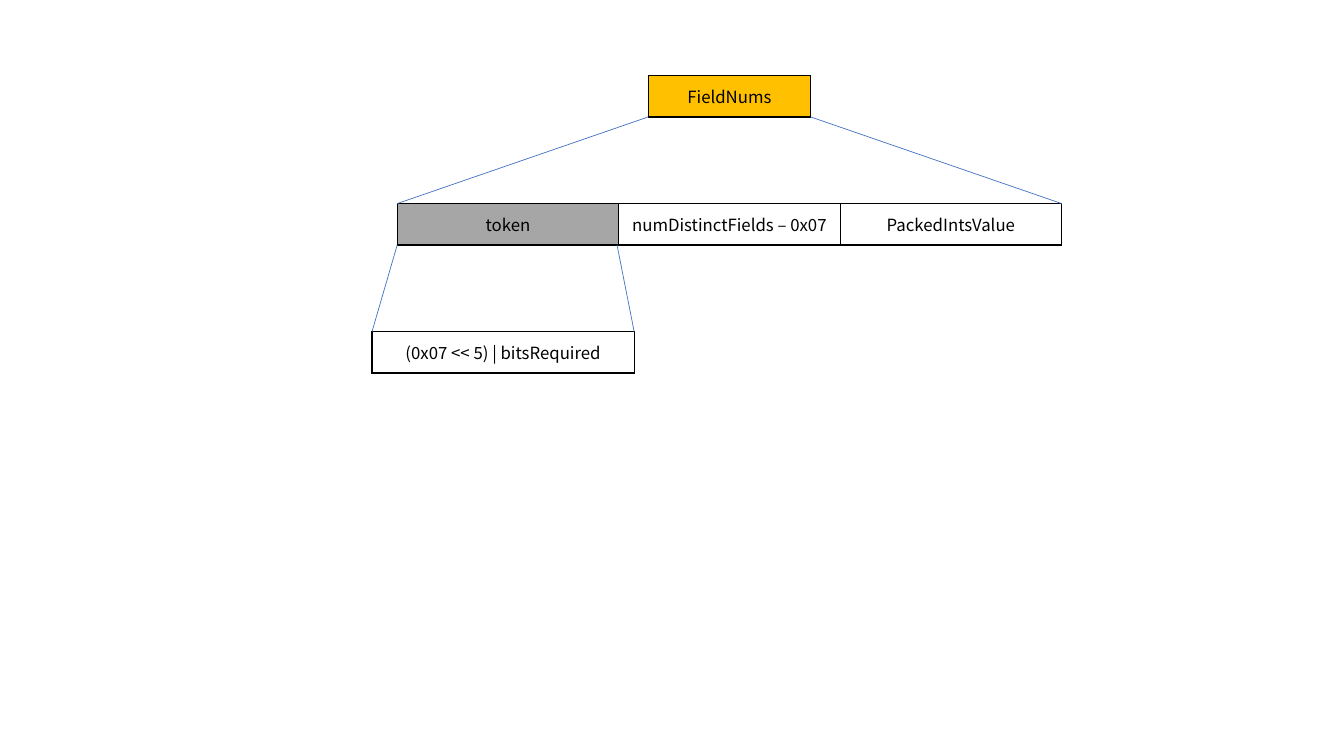
import pptx
import pptx.util
import pptx.dml.color
import pptx.enum.shapes
import pptx.enum.text
import pptx.oxml
import pptx.oxml.ns
import pptx.oxml.xmlchemy

Inches = pptx.util.Inches
Pt = pptx.util.Pt
ROW_H = 0.41


def rgb(value):
    return pptx.dml.color.RGBColor.from_string(value)


def write(cell, text, size=12, font="Noto Sans CJK SC", color="000000", fill="FFFFFF"):
    cell.fill.solid()
    cell.fill.fore_color.rgb = rgb(fill)
    cell.vertical_anchor = pptx.enum.text.MSO_ANCHOR.MIDDLE
    p = cell.text_frame.paragraphs[0]
    p.alignment = pptx.enum.text.PP_ALIGN.CENTER
    r = p.add_run()
    r.text = text
    r.font.size = Pt(size)
    r.font.name = font
    r.font.color.rgb = rgb(color)


prs = pptx.Presentation()
prs.slide_width = Inches(13.33)
prs.slide_height = Inches(7.5)
s = prs.slides.add_slide(prs.slide_layouts[6])

tables = [
    (6.43, 0.75, 1.61, [("FieldNums", "FFC000")]),
    (3.94, 2.02, 6.59, [("token", "A6A6A6"),
                        ("numDistinctFields – 0x07", "FFFFFF"),
                        ("PackedIntsValue", "FFFFFF")]),
    (3.69, 3.29, 2.6, [("(0x07 << 5) | bitsRequired", "FFFFFF")]),
]
for left, top, width, fields in tables:
    table = s.shapes.add_table(1, len(fields), Inches(left), Inches(top),
                               Inches(width), Inches(ROW_H)).table
    table.first_row = False
    table.horz_banding = False
    for i, (text, fill) in enumerate(fields):
        cell = table.cell(0, i)
        write(cell, text, fill=fill)
        tcPr = cell._tc.get_or_add_tcPr()
        for n, side in enumerate(("lnL", "lnR", "lnT", "lnB")):
            tcPr.insert(n, pptx.oxml.parse_xml(
                f'<a:{side} {pptx.oxml.ns.nsdecls("a")} w="{Pt(1)}"><a:solidFill>'
                f'<a:srgbClr val="000000"/></a:solidFill></a:{side}>'))

lines = [
    (6.43, 1.16, 3.94, 2.02),
    (8.04, 1.16, 10.53, 2.02),
    (3.94, 2.43, 3.69, 3.29),
    (6.12, 2.43, 6.29, 3.29),
]
for ends in lines:
    line = s.shapes.add_connector(pptx.enum.shapes.MSO_CONNECTOR.STRAIGHT,
                                  *[Inches(v) for v in ends])
    line.line.color.rgb = rgb("4472C4")
    line.line.width = Pt(0.5)
    line._element.spPr.append(pptx.oxml.xmlchemy.OxmlElement("a:effectLst"))

prs.save("out.pptx")
